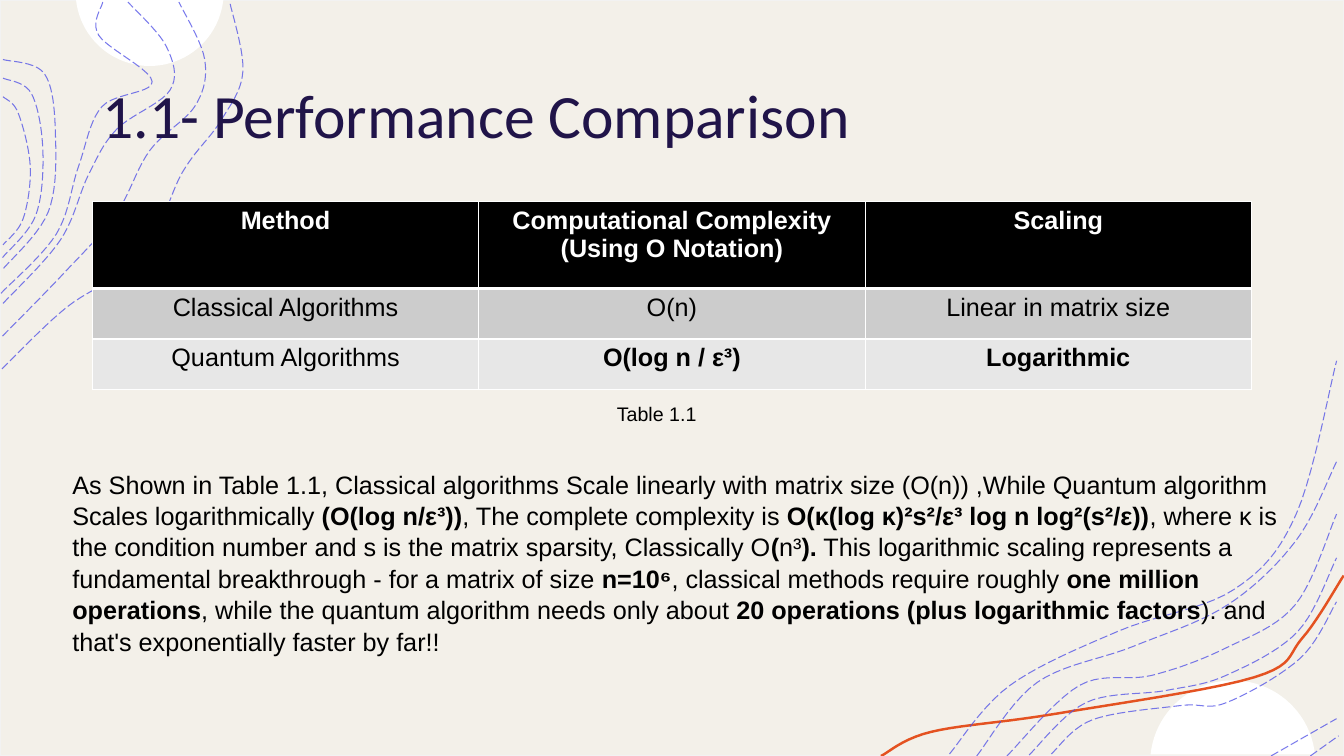
import math

import lxml.etree
import pptx
import pptx.dml.color
import pptx.enum.dml
import pptx.enum.text
import pptx.oxml.ns
import pptx.util

Pt = pptx.util.Pt
RGBColor = pptx.dml.color.RGBColor
qn = pptx.oxml.ns.qn
ALIGN = pptx.enum.text.PP_ALIGN

CREAM = RGBColor(0xF3, 0xF0, 0xE9)
EDGE_GRAY = RGBColor(0xF2, 0xF2, 0xF2)
WHITE = RGBColor(0xFF, 0xFF, 0xFF)
BLACK = RGBColor(0, 0, 0)
ORANGE = RGBColor(0xE4, 0x52, 0x21)
VIOLET = RGBColor(0x4D, 0x4E, 0xE6)
NAVY = RGBColor(0x20, 0x14, 0x49)
ROW_GRAY = RGBColor(0xCC, 0xCC, 0xCC)
ROW_LIGHT = RGBColor(0xE7, 0xE7, 0xE7)

UNIT = Pt(0.72)  # the drawn outlines are given in hundredths of an inch

presentation = pptx.Presentation()
presentation.slide_width = Pt(960)
presentation.slide_height = Pt(540)
slide = presentation.slides.add_slide(presentation.slide_layouts[5])


def smooth(anchors, steps=10):
    """Return points on a Catmull-Rom spline through the anchors."""
    padded = [anchors[0], *anchors, anchors[-1]]
    points = [anchors[0]]
    for a, b, c, d in zip(padded, padded[1:], padded[2:], padded[3:]):
        for step in range(1, steps + 1):
            t = step / steps
            points.append(tuple(
                q + t / 2 * (r - p + t * (2 * p - 5 * q + 4 * r - s + t * (3 * (q - r) + s - p)))
                for p, q, r, s in zip(a, b, c, d)))
    return points


def draw_outline(points, closed):
    scaled = [(x * UNIT, y * UNIT) for x, y in points]
    builder = slide.shapes.build_freeform(*scaled[0])
    builder.add_line_segments(scaled[1:], close=closed)
    outline = builder.convert_to_shape()
    outline.shadow.inherit = False
    return outline


# Background
backdrop = slide.shapes.add_shape(1, 0, 0, Pt(960), Pt(540))
backdrop.shadow.inherit = False
backdrop.fill.solid()
backdrop.fill.fore_color.rgb = CREAM
backdrop.line.color.rgb = EDGE_GRAY
backdrop.line.width = Pt(1)

# White discs cut off by the slide edges
for x, y, radius, first in [(148.5, -8, 73.5, 6), (1223, 757, 82, 186)]:
    angles = [math.radians(angle) for angle in range(first, first + 169, 4)]
    disc = draw_outline([(x + radius * math.cos(a), y + radius * math.sin(a)) for a in angles],
                        closed=True)
    disc.fill.solid()
    disc.fill.fore_color.rgb = WHITE
    disc.line.fill.background()

# Orange ribbon
ribbon = draw_outline(smooth([(874, 750), (924, 726), (1048, 708), (1244, 672), (1292, 633),
                              (1333, 571)]), closed=False)
ribbon.fill.background()
ribbon.line.color.rgb = ORANGE
ribbon.line.width = Pt(1.75)

# Dashed contours: families of lines evenly spread between a first and a last one
families = [
    (3, [(2, 366), (66, 305), (141, 254), (181, 171), (219, 120), (241, 71), (228, 2)],
     [(3, 301), (60, 238), (88, 173), (116, 128), (169, 89), (165, 46), (127, 2)]),
    (1, [(1, 291), (56, 232), (78, 165), (101, 106), (151, 81), (98, 35), (102, 2)], None),
    (3, [(3, 59), (44, 73), (55, 132), (48, 210), (2, 268)],
     [(3, 96), (18, 112), (30, 165), (23, 217), (3, 243)]),
    (2, [(942, 748), (1002, 680), (1110, 626), (1224, 585), (1286, 510), (1326, 358)],
     [(969, 750), (1029, 677), (1125, 641), (1218, 600), (1286, 536), (1326, 458)]),
    (2, [(1261, 750), (1326, 713)], [(1300, 750), (1328, 730)]),
    (3, [(1043, 748), (1084, 714), (1171, 700), (1217, 697), (1290, 653), (1326, 597)],
     [(999, 750), (1071, 680), (1143, 670), (1216, 643), (1285, 600), (1326, 510)]),
]
for count, first_line, last_line in families:
    for index in range(count):
        share = index / max(count - 1, 1)
        anchors = [(x + (u - x) * share, y + (v - y) * share)
                   for (x, y), (u, v) in zip(first_line, last_line or first_line)]
        contour = draw_outline(smooth(anchors), closed=False)
        contour.fill.background()
        contour.line.color.rgb = VIOLET
        contour.line.width = Pt(0.75)
        contour.line.dash_style = pptx.enum.dml.MSO_LINE.LONG_DASH
        for color_element in contour.element.iter(qn("a:srgbClr")):
            lxml.etree.SubElement(color_element, qn("a:alpha"), val="75000")

# Title, brought in front of the decoration
title = slide.shapes.title
slide.shapes.element.append(title.element)
title.left, title.top, title.width, title.height = Pt(66), Pt(28.8), Pt(828), Pt(104.4)
title.text_frame.vertical_anchor = pptx.enum.text.MSO_ANCHOR.MIDDLE
heading = title.text_frame.paragraphs[0]
heading.alignment = ALIGN.LEFT
heading_run = heading.add_run()
heading_run.text = "1.1- Performance Comparison"
heading_run.font.name = "Calibri"
heading_run.font.size = Pt(44)
heading_run.font.color.rgb = NAVY

# Comparison table: fill, text colour, height, cells as (text, bold)
rows = [
    (BLACK, WHITE, 62, [("Method", True), ("Computational Complexity (Using O Notation)", True),
                        ("Scaling", True)]),
    (ROW_GRAY, BLACK, 36.2, [("Classical Algorithms", False), ("O(n)", False),
                             ("Linear in matrix size", False)]),
    (ROW_LIGHT, BLACK, 36.2, [("Quantum Algorithms", False), ("O(log n / ε³)", True),
                              ("Logarithmic", True)]),
]
comparison = slide.shapes.add_table(3, 3, Pt(66), Pt(144), Pt(828), Pt(134.4)).table
comparison.horz_banding = False
for row_index, (fill, ink, height, cells) in enumerate(rows):
    comparison.rows[row_index].height = Pt(height)
    for column_index, (text, bold) in enumerate(cells):
        cell = comparison.cell(row_index, column_index)
        entry = cell.text_frame.paragraphs[0]
        entry.alignment = ALIGN.CENTER
        run = entry.add_run()
        run.text = text
        run.font.name = "Arial"
        run.font.size = Pt(18)
        run.font.bold = bold
        run.font.color.rgb = ink
        properties = cell._tc.get_or_add_tcPr()
        for side in "LRTB":
            thick = (row_index, side) in [(0, "B"), (1, "T")]
            border = lxml.etree.SubElement(properties, qn(f"a:ln{side}"), w=str(Pt(3 if thick else 1)))
            border_fill = lxml.etree.SubElement(border, qn("a:solidFill"))
            lxml.etree.SubElement(border_fill, qn("a:srgbClr"), val=str(WHITE))
        cell.fill.solid()
        cell.fill.fore_color.rgb = fill

# Caption and discussion: box, size, alignment, line spacing, runs as (text, bold)
discussion = [
    ("As Shown in Table 1.1, Classical algorithms Scale linearly with matrix size (O(n)) ,"
     "While Quantum algorithm Scales logarithmically ", False),
    ("(O(log n/ε³))", True),
    (", The complete complexity is ", False),
    ("O(κ(log κ)²s²/ε³ log n log²(s²/ε))", True),
    (", where κ is the condition number and s is the matrix sparsity, Classically O", False),
    ("(", True),
    ("n³", False),
    (").", True),
    (" This logarithmic scaling represents a fundamental breakthrough - for a matrix of size ", False),
    ("n=10⁶", True),
    (", classical methods require roughly ", False),
    ("one million operations", True),
    (", while the quantum algorithm needs only about ", False),
    ("20 operations (plus logarithmic factors", True),
    ("). and that's exponentially faster by far!!", False),
]
passages = [
    ((205.2, 283.7, 527.8, 24.5), 14, ALIGN.CENTER, 1, [("Table 1.1", False)]),
    ((44.6, 330.5, 894.2, 159.8), 18, ALIGN.LEFT, 1.04, discussion),
]
for box, size, alignment, spacing, pieces in passages:
    frame = slide.shapes.add_textbox(*map(Pt, box)).text_frame
    frame.word_wrap = True
    passage = frame.paragraphs[0]
    passage.alignment = alignment
    passage.line_spacing = spacing
    for text, bold in pieces:
        run = passage.add_run()
        run.text = text
        run.font.name = "Arial"
        run.font.size = Pt(size)
        run.font.bold = bold
        run.font.color.rgb = BLACK

presentation.save("out.pptx")
